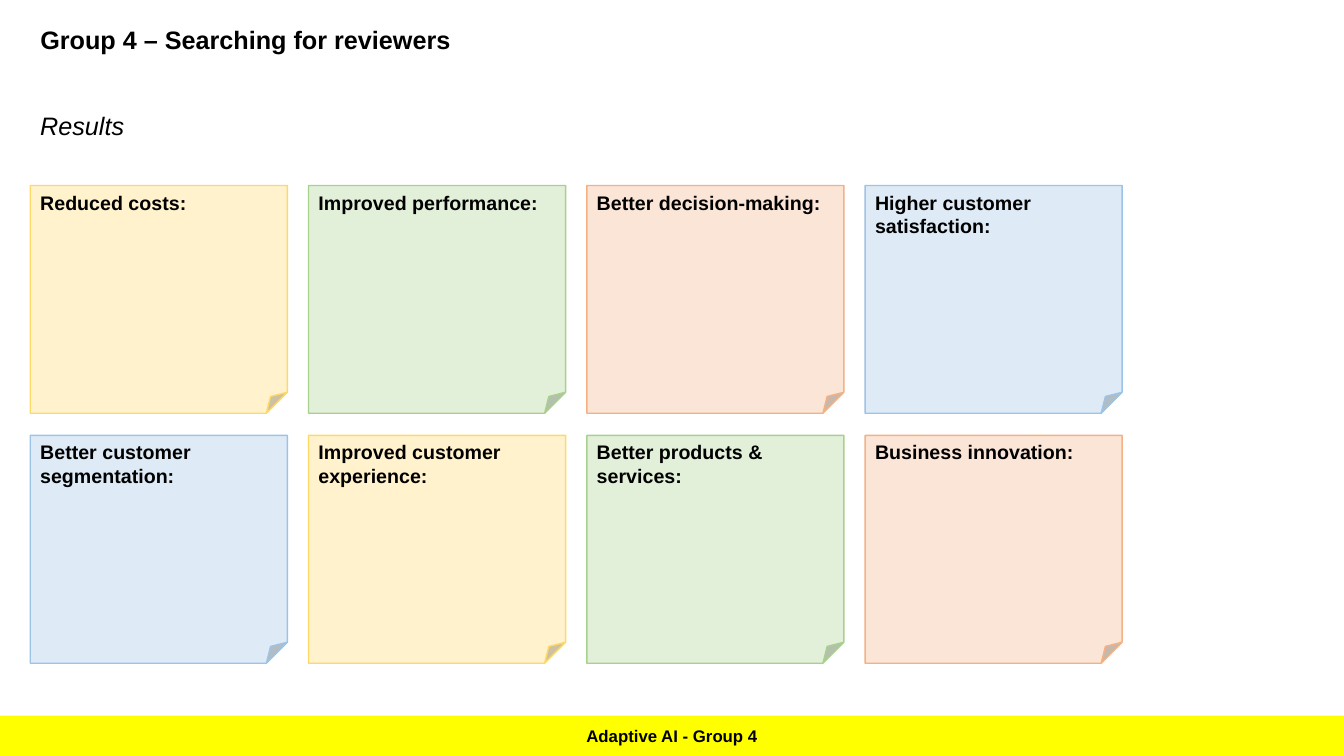
from lxml.etree import SubElement
from pptx import Presentation
from pptx.dml.color import RGBColor
from pptx.enum.shapes import MSO_SHAPE as Shape
from pptx.enum.text import MSO_ANCHOR as Anchor, MSO_AUTO_SIZE as AutoSize, PP_ALIGN as Align
from pptx.oxml.ns import qn
from pptx.util import Inches, Pt

SLIDE_WIDTH, SLIDE_HEIGHT = 13.33, 7.5
BLACK = RGBColor(0x00, 0x00, 0x00)
YELLOW = RGBColor(0xFF, 0xFF, 0x00)

# Fill and outline of each note colour
NOTE_COLOURS = [
    (RGBColor(0xFF, 0xF2, 0xCC), RGBColor(0xFF, 0xD9, 0x66)),  # sand
    (RGBColor(0xE2, 0xF0, 0xD9), RGBColor(0xA9, 0xD1, 0x8E)),  # green
    (RGBColor(0xFB, 0xE5, 0xD6), RGBColor(0xF4, 0xB1, 0x83)),  # orange
    (RGBColor(0xDE, 0xEB, 0xF7), RGBColor(0x9D, 0xC3, 0xE6)),  # blue
]

# Grid of notes
MARGIN, GRID_TOP = 0.3, 1.84
NOTE_WIDTH, NOTE_HEIGHT = 2.55, 2.26
COLUMN_STEP, ROW_STEP = 2.76, 2.48
FOLD = 9200  # in 1/100000 of the note's shorter side
RESULTS = [
    ["Reduced costs:", "Improved performance:",
     "Better decision-making:", "Higher customer satisfaction:"],
    ["Better customer segmentation:", "Improved customer experience:",
     "Better products & services:", "Business innovation:"],
]
HEADING_HEIGHT = FOOTER_HEIGHT = 0.4


def write(shape, text, size=18, bold=False, italic=False,
          align=Align.LEFT, anchor=Anchor.TOP, auto_size=AutoSize.NONE):
    frame = shape.text_frame
    frame.word_wrap = True
    frame.auto_size = auto_size
    frame.vertical_anchor = anchor
    paragraph = frame.paragraphs[0]
    paragraph.alignment = align
    run = paragraph.add_run()
    run.text = text
    font = run.font
    font.name, font.size = "Arial", Pt(size)
    font.bold, font.italic = bold, italic
    font.color.rgb = BLACK


def add_filled_shape(slide, kind, box, fill, line=None):
    shape = slide.shapes.add_shape(kind, *map(Inches, box))
    shape.shadow.inherit = False
    shape.fill.solid()
    shape.fill.fore_color.rgb = fill
    if line is None:
        shape.line.fill.background()
    else:
        shape.line.color.rgb = line
        shape.line.width = Pt(1)
    return shape


def set_fold(note):
    # The library lists no adjustment for this preset, so it is set in XML
    geometry = note.element.spPr.find(qn("a:prstGeom"))
    guides = geometry.find(qn("a:avLst"))
    if guides is None:
        guides = SubElement(geometry, qn("a:avLst"))
    SubElement(guides, qn("a:gd"), name="adj", fmla=f"val {FOLD}")


def add_title(slide, text):
    title = slide.shapes.title
    title.left, title.top, title.width, title.height = map(
        Inches, (MARGIN, 0.19, SLIDE_WIDTH / 2, HEADING_HEIGHT))
    write(title, text, bold=True, auto_size=AutoSize.SHAPE_TO_FIT_TEXT)


def add_subtitle(slide, text):
    box = (MARGIN, 1.05, 12.76, HEADING_HEIGHT)
    subtitle = slide.shapes.add_textbox(*map(Inches, box))
    write(subtitle, text, italic=True, auto_size=AutoSize.SHAPE_TO_FIT_TEXT)


def add_note(slide, row, column, text):
    # Each row starts one colour earlier in the cycle
    fill, line = NOTE_COLOURS[(column - row) % len(NOTE_COLOURS)]
    box = (MARGIN + column * COLUMN_STEP, GRID_TOP + row * ROW_STEP,
           NOTE_WIDTH, NOTE_HEIGHT)
    note = add_filled_shape(slide, Shape.FOLDED_CORNER, box, fill, line)
    set_fold(note)
    write(note, text, size=14, bold=True)


def add_footer(slide, text):
    box = (0, SLIDE_HEIGHT - FOOTER_HEIGHT, SLIDE_WIDTH, FOOTER_HEIGHT)
    footer = add_filled_shape(slide, Shape.RECTANGLE, box, YELLOW)
    write(footer, text, size=12, bold=True, align=Align.CENTER, anchor=Anchor.MIDDLE)


def main():
    presentation = Presentation()
    presentation.slide_width = Inches(SLIDE_WIDTH)
    presentation.slide_height = Inches(SLIDE_HEIGHT)
    slide = presentation.slides.add_slide(presentation.slide_layouts[5])

    # Headings and footer band
    add_footer(slide, "Adaptive AI - Group 4")
    add_title(slide, "Group 4 – Searching for reviewers")
    add_subtitle(slide, "Results")

    # Result notes
    for row, labels in enumerate(RESULTS):
        for column, label in enumerate(labels):
            add_note(slide, row, column, label)

    presentation.save("out.pptx")


if __name__ == "__main__":
    main()
